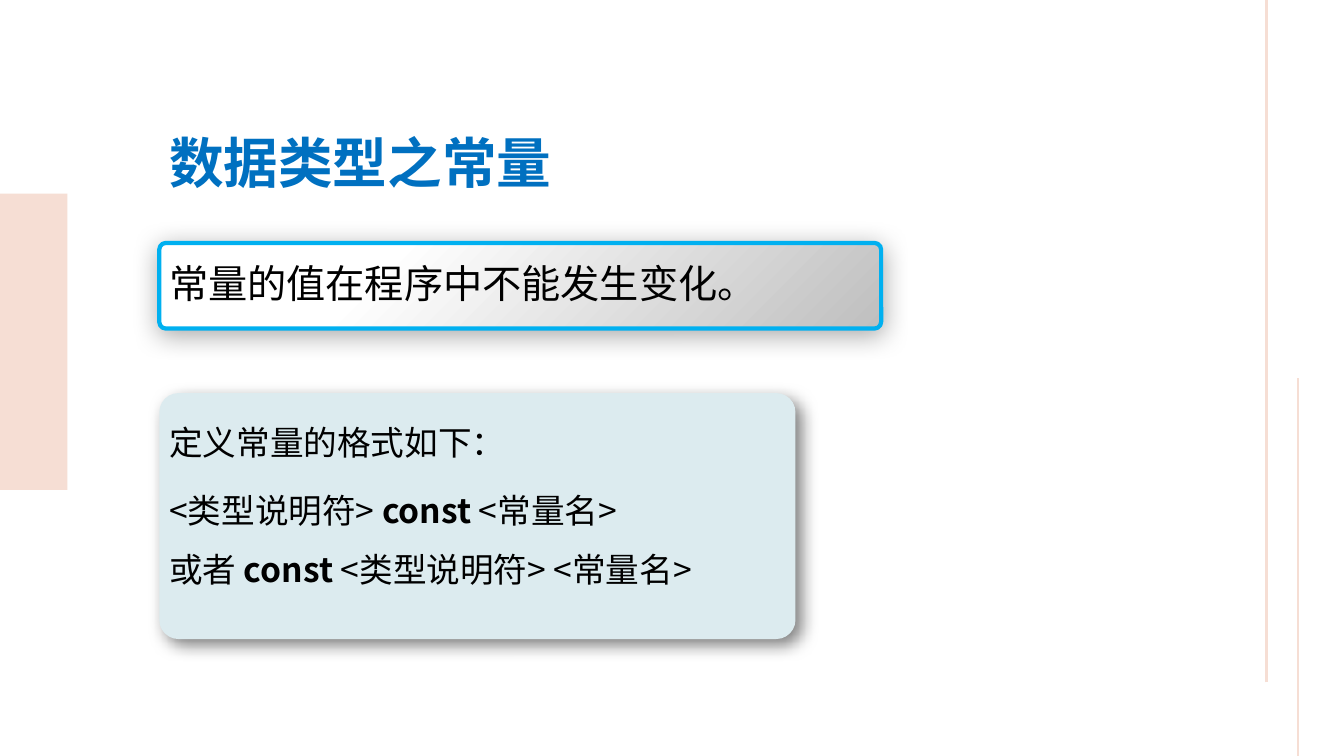
from dataclasses import dataclass
from typing import Optional

from lxml.etree import SubElement
from pptx import Presentation
from pptx.dml.color import RGBColor
from pptx.enum.shapes import MSO_CONNECTOR, MSO_SHAPE
from pptx.enum.text import MSO_AUTO_SIZE
from pptx.oxml.ns import qn
from pptx.util import Inches, Pt

FONT = "Noto Sans CJK SC"
PINK = "F6DED4"
LEFT = 1.58


@dataclass
class Shade:
    alpha: int
    blur: float
    dist: float
    angle: int


@dataclass
class Panel:
    top: float
    width: float
    height: float
    fills: list[tuple[int, str]]
    shade: Shade
    edge: Optional[str] = None


@dataclass
class Rule:
    left: float
    top: float
    end: float
    weight: float


@dataclass
class Label:
    top: float
    width: float
    height: float
    runs: list[tuple[str, bool]]
    size: int = 24
    color: str = "000000"
    wrap: bool = False


def paint(code: str) -> RGBColor:
    return RGBColor.from_string(code)


def add_block(slide, kind, left: float, top: float, width: float, height: float,
              fills: list[tuple[int, str]], edge: Optional[str] = None):
    shape = slide.shapes.add_shape(
        kind, Inches(left), Inches(top), Inches(width), Inches(height))
    if len(fills) == 1:
        shape.fill.solid()
        shape.fill.fore_color.rgb = paint(fills[0][1])
    else:
        shape.fill.gradient()
        shape.fill.gradient_angle = 315
        for stop, (place, code) in zip(shape.fill.gradient_stops, fills):
            stop.position = place / 100
            stop.color.rgb = paint(code)
    if edge:
        shape.line.color.rgb = paint(edge)
        shape.line.width = Pt(3)
    else:
        shape.line.fill.background()
    shape.shadow.inherit = False
    return shape


def add_panel(slide, panel: Panel) -> None:
    shape = add_block(slide, MSO_SHAPE.ROUNDED_RECTANGLE, LEFT, panel.top,
                      panel.width, panel.height, panel.fills, panel.edge)
    shape.adjustments[0] = 0.078
    shade = panel.shade
    effects = shape._element.spPr.find(qn("a:effectLst"))
    outer = SubElement(effects, qn("a:outerShdw"), {
        "blurRad": str(Pt(shade.blur)), "dist": str(Pt(shade.dist)),
        "dir": str(shade.angle * 60000), "algn": "ctr", "rotWithShape": "0"})
    color = SubElement(outer, qn("a:srgbClr"), val="000000")
    SubElement(color, qn("a:alpha"), val=str(shade.alpha * 1000))


def add_rule(slide, rule: Rule) -> None:
    line = slide.shapes.add_connector(
        MSO_CONNECTOR.STRAIGHT, Inches(rule.left), Inches(rule.end),
        Inches(rule.left), Inches(rule.top))
    line.line.color.rgb = paint(PINK)
    line.line.width = Pt(rule.weight)
    SubElement(line._element.spPr, qn("a:effectLst"))


def add_run(line, text: str, *, size: int, color: str, bold: bool) -> None:
    run = line.add_run()
    run.text = text
    font = run.font
    font.name = FONT
    font.size = Pt(size)
    font.bold = bold
    font.color.rgb = paint(color)
    SubElement(run._r.get_or_add_rPr(), qn("a:ea"), typeface=FONT)


def add_label(slide, label: Label) -> None:
    box = slide.shapes.add_textbox(Inches(LEFT), Inches(label.top),
                                   Inches(label.width), Inches(label.height))
    frame = box.text_frame
    frame.word_wrap = label.wrap
    frame.auto_size = MSO_AUTO_SIZE.SHAPE_TO_FIT_TEXT
    for text, bold in label.runs:
        add_run(frame.paragraphs[0], text, size=label.size,
                color=label.color, bold=bold)


RULES = [Rule(12.56, 0, 6.77, 2.25), Rule(12.87, 3.75, 7.5, 1.5)]

PANELS = [
    Panel(2.41, 7.16, 0.85, [(30, "FFFFFF"), (100, "BFBFBF")],
          Shade(33, 17.8, 3, 87), "00B0F0"),
    Panel(3.9, 6.31, 2.44, [(0, "DCEBEF")], Shade(50, 12, 6, 45)),
]

LABELS = [
    Label(1.23, 5.24, 0.76, [("数据类型之常量", True)], 39, "0070C0", True),
    Label(2.52, 7.01, 0.57, [("常量的值在程序中不能发生变化。", False)], 28, wrap=True),
    Label(4.14, 3.53, 0.5, [("定义常量的格式如下：", False)]),
    Label(4.81, 4.96, 0.5, [("<类型说明符> ", False), ("const", True),
                            (" <常量名>", False)]),
    Label(5.4, 5.73, 0.5, [("或者 ", False), ("const ", True),
                           ("<类型说明符> <常量名>", False)], wrap=True),
]


def main() -> None:
    deck = Presentation()
    deck.slide_width = Inches(13.33)
    deck.slide_height = Inches(7.5)
    slide = deck.slides.add_slide(deck.slide_layouts[6])
    add_block(slide, MSO_SHAPE.RECTANGLE, 0, 1.92, 0.67, 2.94, [(0, PINK)])
    for rule in RULES:
        add_rule(slide, rule)
    for panel in PANELS:
        add_panel(slide, panel)
    for label in LABELS:
        add_label(slide, label)
    deck.save("out.pptx")


if __name__ == "__main__":
    main()
